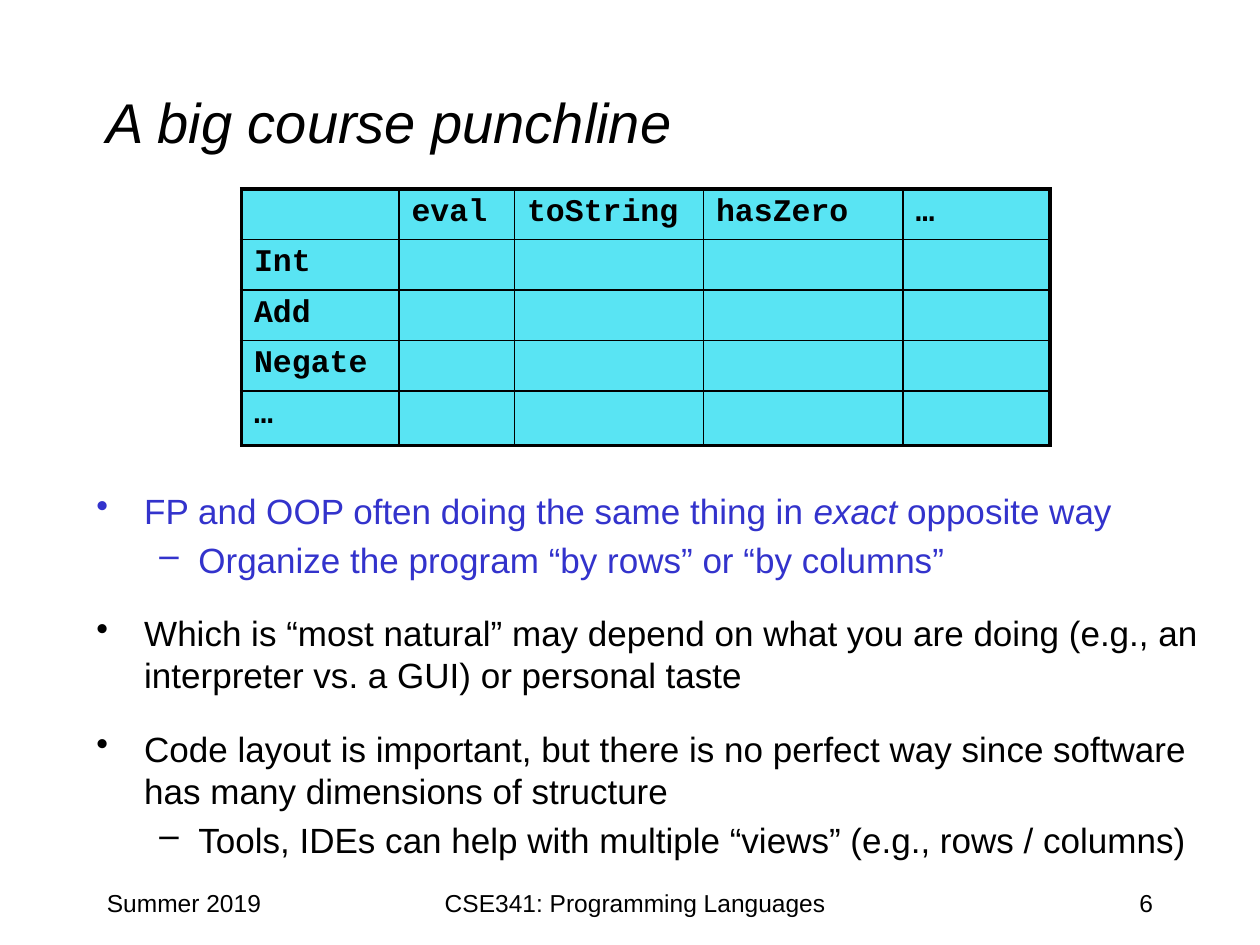
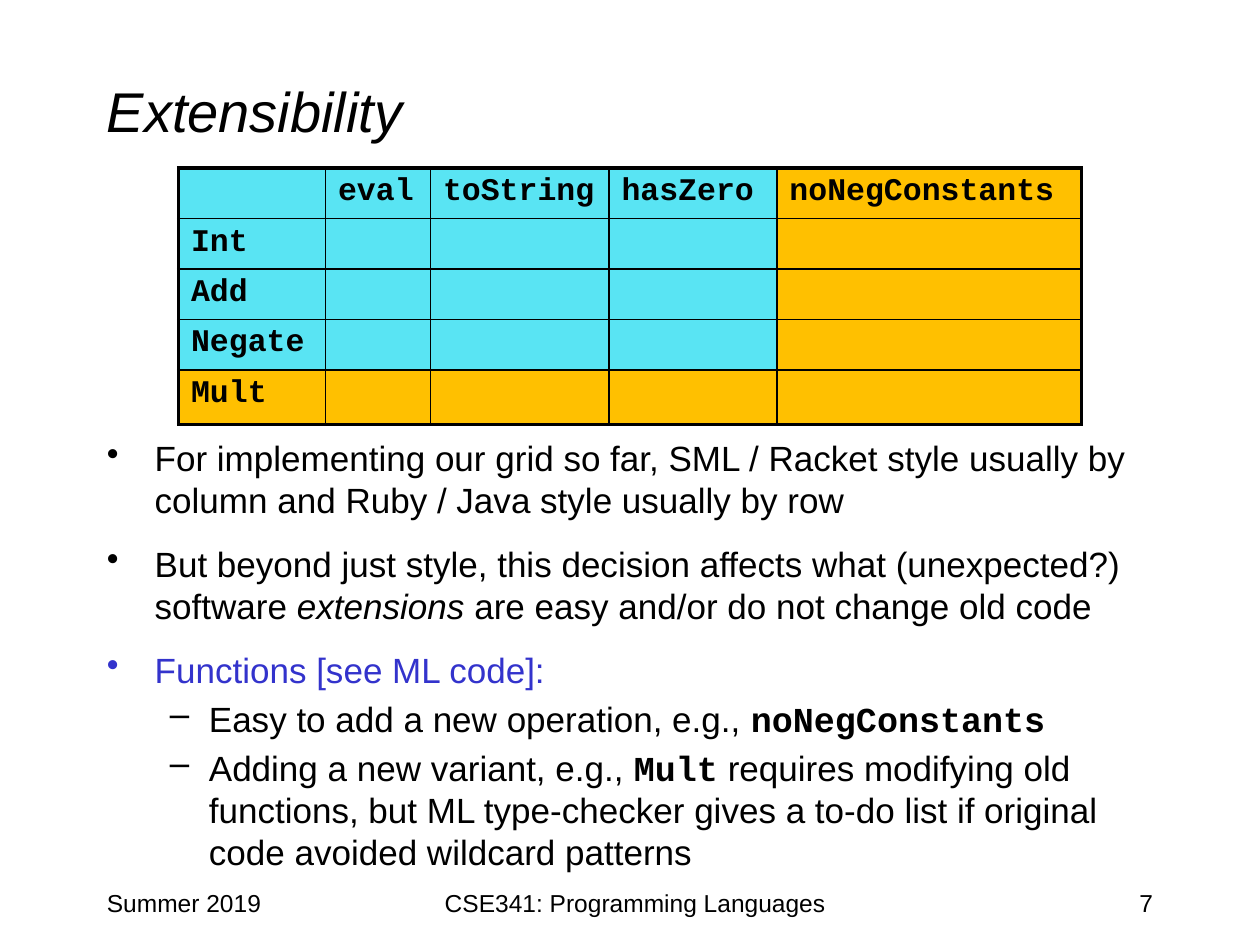
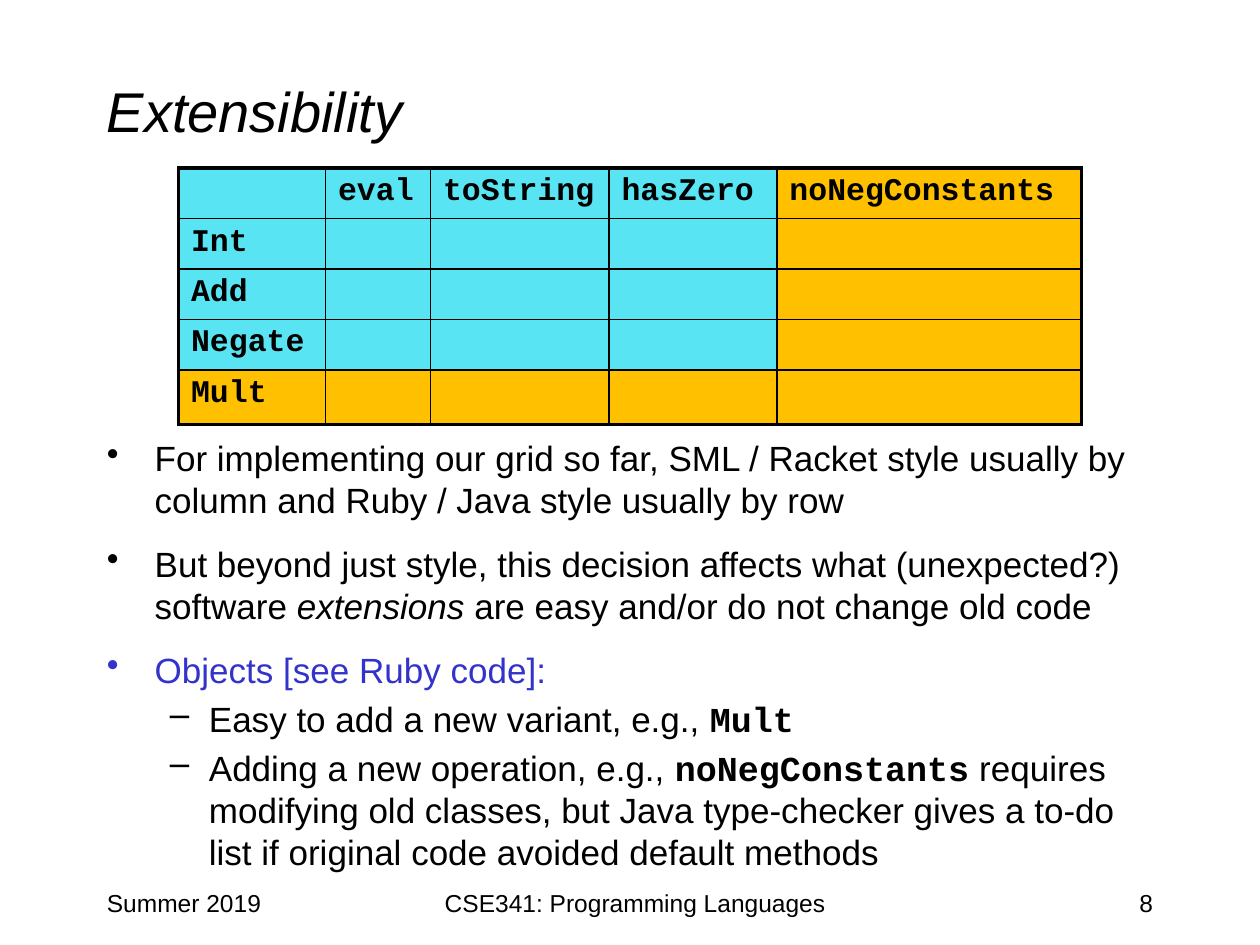
"""Build three slides on rows, columns and extensibility."""
from dataclasses import dataclass

from lxml.etree import SubElement as Sub
from pptx import Presentation as Deck
from pptx.dml.color import RGBColor as Rgb
from pptx.enum.text import MSO_ANCHOR as Anchor, PP_ALIGN as Align
from pptx.oxml.ns import qn
from pptx.util import Emu, Inches, Pt

BLACK, BLUE, CYAN, GOLD = "000000", "3333CC", "59E4F3", "FFC000"
SANS, MONO = "Arial", "Courier New"
WIDE, HIGH = Inches(10), Inches(7.5)
COLS, ROWS = 120, 90
THIN, THICK = 1, 2.25
LEAD = 24


@dataclass(frozen=True)
class Box:
    """A place in grid columns and rows."""
    left: float
    top: float
    width: float
    height: float

    def place(self) -> tuple[Emu, Emu, Emu, Emu]:
        return across(self.left), down(self.top), across(self.width), down(self.height)


@dataclass(frozen=True)
class Item:
    """A bullet line; *stars* mark italics and `ticks` mark code."""
    text: str
    level: int = 0
    color: str = BLACK
    gap: float = 4


@dataclass(frozen=True)
class Mark:
    """The bullet sign and indents of one level."""
    sign: str
    left: float
    hang: float


@dataclass(frozen=True)
class Grid:
    """A table of variants by operations."""
    left: float
    top: float
    widths: tuple[float, ...]
    heads: tuple[str, ...]
    names: tuple[str, ...]
    edge: str


@dataclass(frozen=True)
class Page:
    """The content of one slide."""
    title: str
    head: Box
    grid: Grid
    body: Box
    items: tuple[Item, ...]


MARKS = (Mark("•", 0.38, 0.38), Mark("–", 0.81, 0.31))
TALL = (4.6, 4.6, 4.6, 4.6, 5.2)
FOOT = (
    (Box(9, 84, 25, 6), "Summer 2019", Align.LEFT),
    (Box(86, 84, 25, 6), "{page}", Align.RIGHT),
    (Box(38, 84, 45, 6), "CSE341: Programming Languages", Align.CENTER),
)


def across(cols: float) -> Emu:
    """Turn grid columns into a length."""
    return Emu(round(WIDE * cols / COLS))


def down(rows: float) -> Emu:
    """Turn grid rows into a length."""
    return Emu(round(HIGH * rows / ROWS))


def tint(code: str) -> Rgb:
    """Turn a hex string into a colour."""
    return Rgb.from_string(code)


def write(para, text: str, *, size: float, color: str = BLACK, face: str = SANS,
          bold: bool = False, slant: bool = False, align: Align = Align.LEFT) -> None:
    """Add text to a paragraph, with marked italics and code."""
    para.alignment = align
    for i, part in enumerate(text.split("*")):
        for j, bit in enumerate(part.split("`")):
            if not bit:
                continue
            run = para.add_run()
            run.text = bit
            font = run.font
            font.size, font.color.rgb = Pt(size), tint(color)
            font.name = MONO if j % 2 else face
            font.bold = bold or j % 2 == 1
            font.italic = slant or i % 2 == 1


def frame(slide, box: Box, anchor: Anchor = Anchor.TOP):
    """Add a wrapping text box and return its frame."""
    area = slide.shapes.add_textbox(*box.place()).text_frame
    area.word_wrap = True
    area.vertical_anchor = anchor
    return area


def bullets(slide, box: Box, items: tuple[Item, ...]) -> None:
    """Draw the list of bullet lines."""
    area = frame(slide, box)
    for i, item in enumerate(items):
        para = area.add_paragraph() if i else area.paragraphs[0]
        mark = MARKS[item.level]
        props = para._p.get_or_add_pPr()
        props.set("marL", str(Inches(mark.left)))
        props.set("indent", str(-Inches(mark.hang)))
        Sub(props, qn("a:buChar"), char=mark.sign)
        para.level = item.level
        para.line_spacing = Pt(LEAD)
        para.space_before = Pt(item.gap if i else 0)
        write(para, item.text, size=20, color=item.color)


def border(cell, side: str, width: float) -> None:
    """Draw one edge of a cell."""
    line = Sub(cell._tc.get_or_add_tcPr(), qn(f"a:ln{side}"), w=str(Pt(width)))
    fill = Sub(line, qn("a:solidFill"))
    Sub(fill, qn("a:srgbClr"), val=BLACK)


def table(slide, grid: Grid) -> None:
    """Draw the grid of variants and operations."""
    box = Box(grid.left, grid.top, sum(grid.widths), sum(TALL))
    last, end = len(grid.widths) - 1, len(TALL) - 1
    tab = slide.shapes.add_table(end + 1, last + 1, *box.place()).table
    tab.first_row = tab.horz_banding = False
    for col, width in zip(tab.columns, grid.widths):
        col.width = across(width)
    for r, tall in enumerate(TALL):
        tab.rows[r].height = down(tall)
        for c in range(last + 1):
            cell = tab.cell(r, c)
            rims = {"L": c == 0, "R": c == last, "T": r == 0, "B": r == end}
            for side, rim in rims.items():
                border(cell, side, THICK if rim else THIN)
            cell.fill.solid()
            cell.fill.fore_color.rgb = tint(grid.edge if c == last or r == end else CYAN)
            text = grid.heads[c] if r == 0 else grid.names[r] if c == 0 else ""
            write(cell.text_frame.paragraphs[0], text, size=18, face=MONO, bold=True)


def draw(deck, page: Page, num: int) -> None:
    """Add one slide with its title, table, list and footer."""
    slide = deck.slides.add_slide(deck.slide_layouts[6])
    head = frame(slide, page.head, Anchor.MIDDLE)
    write(head.paragraphs[0], page.title, size=32, slant=True)
    bullets(slide, page.body, page.items)
    for box, text, align in FOOT:
        para = frame(slide, box).paragraphs[0]
        write(para, text.format(page=num), size=14, align=align)
    table(slide, page.grid)


def extend(*items: Item) -> Page:
    """Make an extensibility page that ends with the given items."""
    grid = Grid(17, 16, (14, 10, 17, 16, 29),
                ("", "eval", "toString", "hasZero", "noNegConstants"),
                ("", "Int", "Add", "Negate", "Mult"), GOLD)
    shared = (
        Item("For implementing our grid so far, SML / Racket style usually by "
             "column and Ruby / Java style usually by row"),
        Item("But beyond just style, this decision affects what (unexpected?) "
             "software *extensions* are easy and/or do not change old code", gap=12.4),
    )
    return Page("Extensibility", Box(9, 3, 102, 15), grid,
                Box(9, 41, 102, 44), shared + items)


PAGES = (
    Page(
        "A big course punchline", Box(9, 4, 102, 15),
        Grid(23, 18, (15, 11, 18, 19, 14), ("", "eval", "toString", "hasZero", "…"),
             ("", "Int", "Add", "Negate", "…"), CYAN),
        Box(8, 46, 108, 37),
        (
            Item("FP and OOP often doing the same thing in *exact* opposite way",
                 color=BLUE),
            Item("Organize the program “by rows” or “by columns”", 1, BLUE),
            Item("Which is “most natural” may depend on what you are doing (e.g., an "
                 "interpreter vs. a GUI) or personal taste", gap=18),
            Item("Code layout is important, but there is no perfect way since software "
                 "has many dimensions of structure", gap=18),
            Item("Tools, IDEs can help with multiple “views” (e.g., rows / columns)", 1),
        ),
    ),
    extend(
        Item("Functions [see ML code]:", color=BLUE, gap=12.4),
        Item("Easy to add a new operation, e.g., `noNegConstants`", 1),
        Item("Adding a new variant, e.g., `Mult` requires modifying old functions, but "
             "ML type-checker gives a to-do list if original code avoided wildcard "
             "patterns", 1),
    ),
    extend(
        Item("Objects [see Ruby code]:", color=BLUE, gap=12.4),
        Item("Easy to add a new variant, e.g., `Mult`", 1),
        Item("Adding a new operation, e.g., `noNegConstants` requires modifying old "
             "classes, but Java type-checker gives a to-do list if original code "
             "avoided default methods", 1),
    ),
)


def main() -> None:
    """Build and save the deck."""
    deck = Deck()
    deck.slide_width, deck.slide_height = WIDE, HIGH
    for num, page in enumerate(PAGES, 6):
        draw(deck, page, num)
    deck.save("out.pptx")


if __name__ == "__main__":
    main()
